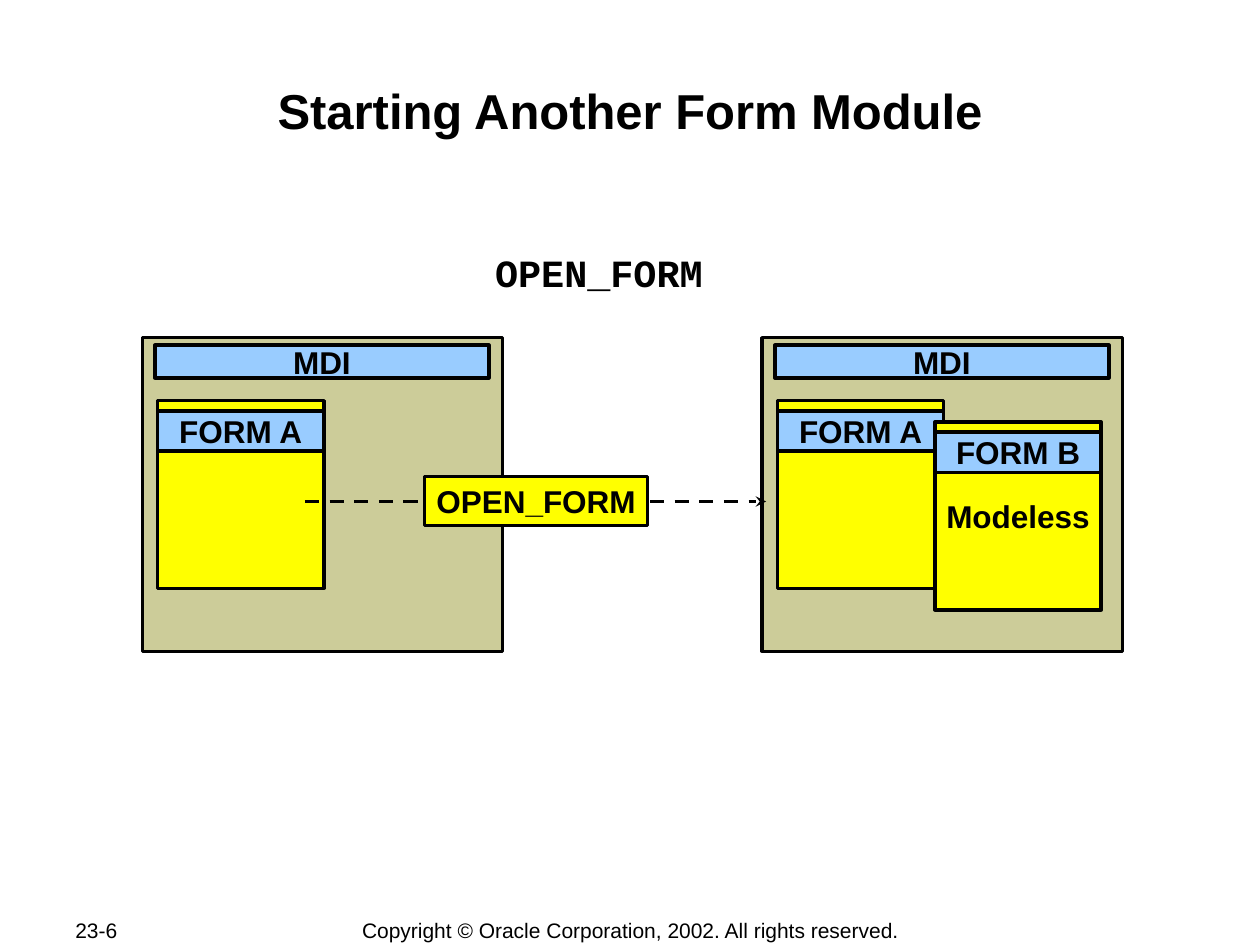
import dataclasses

import pptx
import pptx.dml.color
import pptx.enum.dml
import pptx.enum.shapes
import pptx.enum.text
import pptx.oxml
import pptx.oxml.ns
import pptx.util

Inches = pptx.util.Inches
Pt = pptx.util.Pt
RGB = pptx.dml.color.RGBColor
Align = pptx.enum.text.PP_ALIGN
Anchor = pptx.enum.text.MSO_ANCHOR

BLACK = RGB(0x00, 0x00, 0x00)
KHAKI = RGB(0xCC, 0xCC, 0x99)
BLUE = RGB(0x99, 0xCC, 0xFF)
YELLOW = RGB(0xFF, 0xFF, 0x00)


@dataclasses.dataclass
class Box:
    left: float
    top: float
    width: float
    height: float
    fill: RGB
    text: str = ""


def write(shape, text: str, size: float = 18, bold: bool = True,
          font: str = "Arial", align=Align.CENTER, anchor=Anchor.MIDDLE,
          wrap: bool = False, side: float = 0.1, head: float = 0.05,
          foot: float = 0.05) -> None:
    frame = shape.text_frame
    frame.word_wrap = wrap
    frame.vertical_anchor = anchor
    frame.margin_left = frame.margin_right = Inches(side)
    frame.margin_top, frame.margin_bottom = Inches(head), Inches(foot)
    frame.text = text
    para = frame.paragraphs[0]
    para.alignment = align
    para.space_before = Pt(0)
    para.font.name = font
    para.font.size = Pt(size)
    para.font.bold = bold
    para.font.color.rgb = BLACK


def label(slide, left: float, top: float, width: float, height: float,
          text: str, **form) -> None:
    box = slide.shapes.add_textbox(
        Inches(left), Inches(top), Inches(width), Inches(height))
    write(box, text, **form)


def draw(slide, box: Box) -> None:
    rect = slide.shapes.add_shape(
        pptx.enum.shapes.MSO_SHAPE.RECTANGLE, Inches(box.left),
        Inches(box.top), Inches(box.width), Inches(box.height))
    rect.shadow.inherit = False
    rect.fill.solid()
    rect.fill.fore_color.rgb = box.fill
    rect.line.color.rgb = BLACK
    rect.line.width = Pt(2)
    if box.text:
        write(rect, box.text)


def form(slide, left: float, top: float, name: str, body: str = "") -> None:
    """A yellow form window with a blue title bar."""
    draw(slide, Box(left, top, 1.32, 1.49, YELLOW, body))
    draw(slide, Box(left, top + 0.08, 1.32, 0.32, BLUE, name))


def window(slide, left: float) -> None:
    """An MDI window that holds form A."""
    draw(slide, Box(left, 2.68, 2.86, 2.49, KHAKI))
    draw(slide, Box(left + 0.1, 2.74, 2.65, 0.26, BLUE, "MDI"))
    form(slide, left + 0.12, 3.18, "FORM A")


def arrow(slide, start: float, end: float, level: float) -> None:
    link = slide.shapes.add_connector(
        pptx.enum.shapes.MSO_CONNECTOR.STRAIGHT,
        Inches(start), Inches(level), Inches(end), Inches(level))
    link.line.color.rgb = BLACK
    link.line.width = Pt(2)
    link.line.dash_style = pptx.enum.dml.MSO_LINE.DASH
    space = pptx.oxml.ns.nsdecls("a")
    props = link._element.spPr
    props.get_or_add_ln().append(
        pptx.oxml.parse_xml(f'<a:tailEnd {space} type="stealth"/>'))
    props.append(pptx.oxml.parse_xml(f"<a:effectLst {space}/>"))


def main() -> None:
    deck = pptx.Presentation()
    deck.slide_width, deck.slide_height = Inches(10), Inches(7.5)
    slide = deck.slides.add_slide(deck.slide_layouts[5])

    # Footer
    label(slide, 0.5, 7.28, 1.06, 0.2, "23-6", size=12, bold=False,
          align=Align.LEFT, wrap=True)
    label(slide, 2.76, 7.28, 4.49, 0.21,
          "Copyright © Oracle Corporation, 2002. All rights reserved.",
          size=12, bold=False)

    # Title
    title = slide.shapes.title
    title.left, title.top = Inches(1), Inches(0.58)
    title.width, title.height = Inches(8), Inches(0.96)
    write(title, "Starting Another Form Module", size=28, wrap=True,
          anchor=Anchor.TOP, side=0.01, head=0.06, foot=0.01)

    # Windows before and after the call
    for left in (1.13, 6.05):
        window(slide, left)
    form(slide, 7.42, 3.35, "FORM B", "Modeless")

    # Call from one window to the other
    arrow(slide, 2.42, 6.08, 3.98)
    draw(slide, Box(3.37, 3.78, 1.77, 0.39, YELLOW, "OPEN_FORM"))
    label(slide, 3.92, 1.91, 1.68, 0.39, "OPEN_FORM", size=22,
          font="Courier New", align=Align.LEFT, anchor=Anchor.TOP,
          side=0.01, head=0.07, foot=0.01)

    deck.save("out.pptx")


if __name__ == "__main__":
    main()
